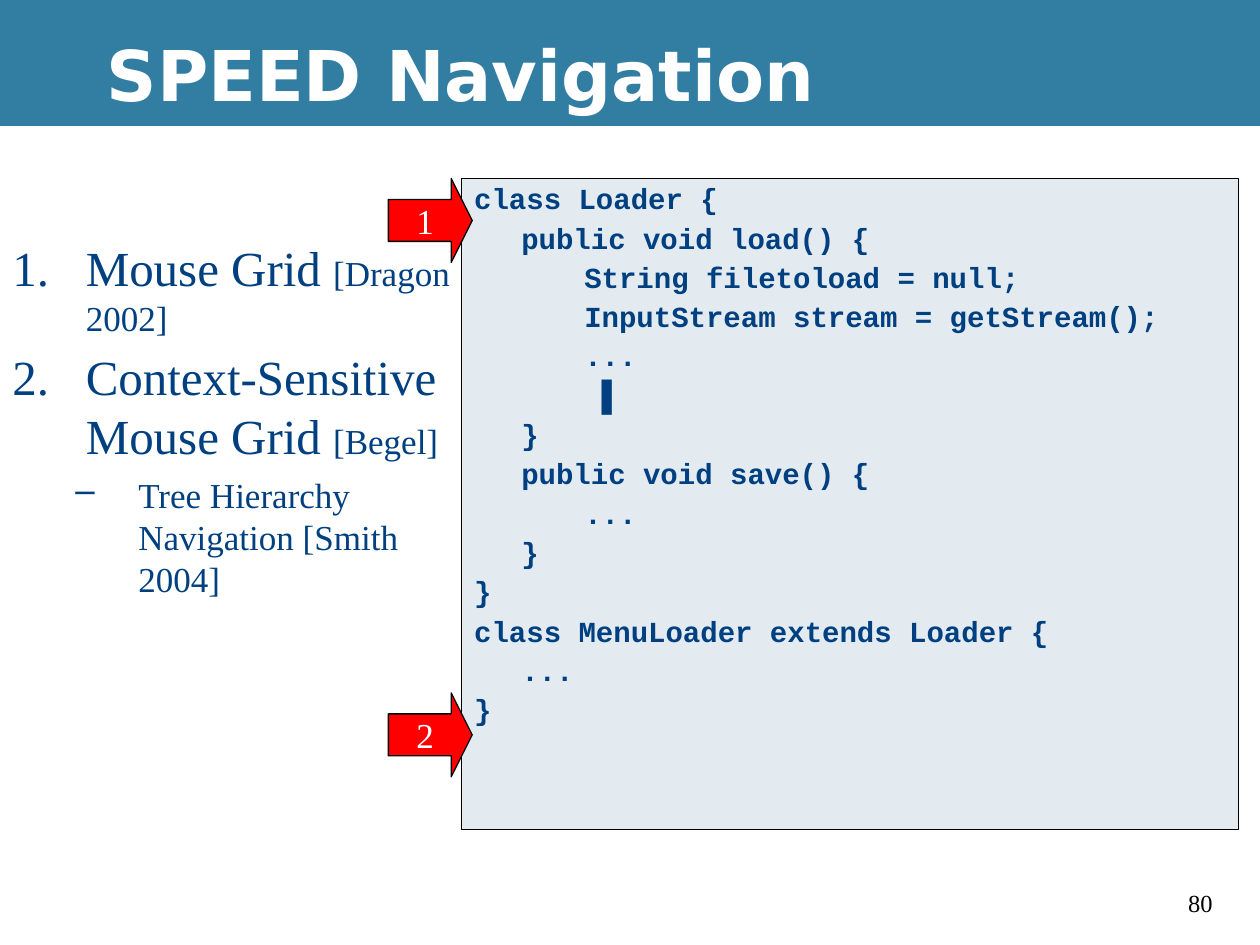
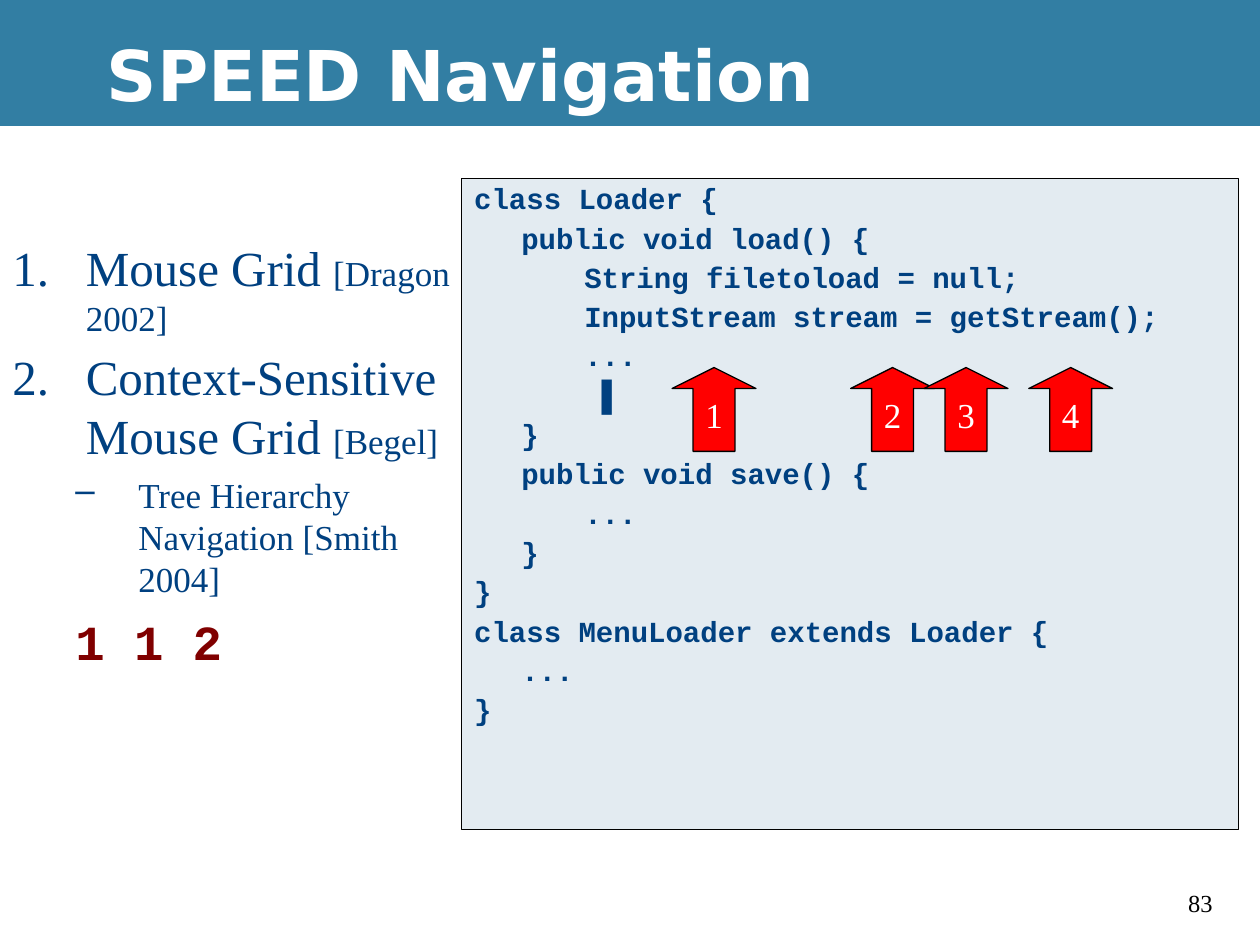
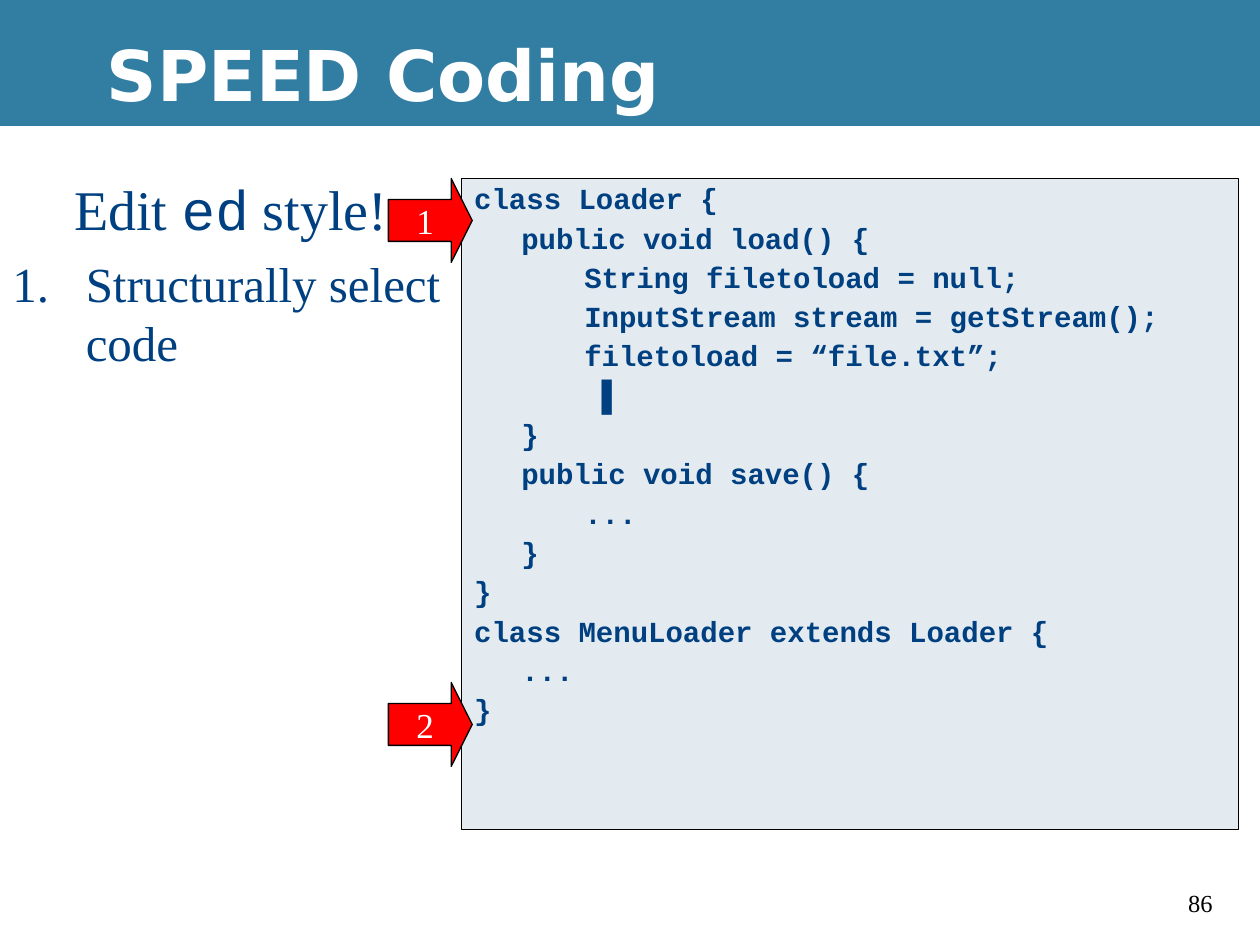
"""Builds three slides on navigating and editing code by voice."""
import dataclasses

import lxml.etree
import pptx
import pptx.dml.color
import pptx.enum.shapes
import pptx.enum.text
import pptx.oxml.ns
import pptx.util

Cm, Pt = pptx.util.Cm, pptx.util.Pt
Rgb = pptx.dml.color.RGBColor.from_string
Kind = pptx.enum.shapes.MSO_SHAPE
Align = pptx.enum.text.PP_ALIGN
Anchor = pptx.enum.text.MSO_ANCHOR
qn = pptx.oxml.ns.qn


@dataclasses.dataclass(frozen=True)
class Theme:
    band: str = "327EA3"
    panel: str = "E3EBF1"
    ink: str = "004080"
    spoken: str = "800000"
    arrow: str = "FF0000"
    white: str = "FFFFFF"
    black: str = "000000"
    head: str = "DejaVu Sans"
    serif: str = "Times New Roman"
    mono: str = "Courier New"
    sans: str = "Arial"
    title: float = 40
    lead: float = 32
    item: float = 28
    note: float = 20
    code: float = 16.6
    page: float = 14


look = Theme()


def write(frame, *runs, face=look.serif, size=look.item, ink=look.ink, bold=False,
          align=Align.LEFT, left=0, hang=0, level=0, before=0, line=1, mark=None, tabs=()):
    """Adds a paragraph; a run is text or a pair of text and its own format."""
    para = frame.paragraphs[0] if not frame.text else frame.add_paragraph()
    para.alignment, para.level, para.line_spacing = align, level, line
    para.space_before = Pt(before)
    props = para._p.get_or_add_pPr()
    if left:
        props.set("marL", str(Cm(left)))
        props.set("indent", str(-Cm(hang)))
    if mark:
        tint = lxml.etree.SubElement(props, qn("a:buClr"))
        lxml.etree.SubElement(tint, qn("a:srgbClr"), val=ink)
        if mark == "1.":
            lxml.etree.SubElement(props, qn("a:buAutoNum"), type="arabicPeriod")
        else:
            lxml.etree.SubElement(props, qn("a:buChar"), char=mark)
    if tabs:
        stops = lxml.etree.SubElement(props, qn("a:tabLst"))
        for stop in tabs:
            lxml.etree.SubElement(stops, qn("a:tab"), pos=str(Cm(stop)), algn="l")
    for run in runs:
        words, own = (run, {}) if isinstance(run, str) else run
        part = para.add_run()
        part.text = words
        part.font.name = own.get("face", face)
        part.font.size = Pt(own.get("size", size))
        part.font.bold = bold
        part.font.color.rgb = Rgb(ink)


def block(slide, kind, place, fill, edge=None):
    """Adds a filled shape at left, top, width and height in centimetres."""
    shape = slide.shapes.add_shape(kind, *map(Cm, place))
    shape.shadow.inherit = False
    shape.fill.solid()
    shape.fill.fore_color.rgb = Rgb(fill)
    if edge:
        shape.line.color.rgb = Rgb(edge)
        shape.line.width = Pt(0.75)
    else:
        shape.line.fill.background()
    return shape


small = {"size": look.note}
first = {"left": 1.48, "hang": 1.48, "mark": "1."}
second = {"left": 2.54, "hang": 1.27, "level": 1}
grid = [
    (("Mouse Grid ", ("[Dragon 2002]", small)), first),
    (("Context-Sensitive Mouse Grid ", ("[Begel]", small)), first | {"before": 5}),
    (("Tree Hierarchy Navigation [Smith 2004]",), second | small | {"before": 5, "mark": "–"}),
]
said = (("1 1 2",), second | {"before": 7, "face": look.mono, "ink": look.spoken, "bold": True})
edit = [
    (("Edit ", ("ed", {"face": look.mono}), " style!"), {"size": look.lead, "align": Align.CENTER}),
    (("Structurally select code",), first | {"before": 7}),
]

wide = (0, 4.66, 9.74, 12.28)
brief = (0, 3.39, 9.31, 5.29)
side, beside, under = 1.69, 7.83, 7.41
pages = [
    ("SPEED Navigation", "80", wide, grid, "...", Kind.RIGHT_ARROW,
     [(beside, 3.6), (beside, 13.97)]),
    ("SPEED Navigation", "83", wide, grid + [said], "...", Kind.UP_ARROW,
     [(x, under) for x in (13.55, 17.15, 18.63, 20.74)]),
    ("SPEED Coding", "86", brief, edit, "filetoload = “file.txt”;", Kind.RIGHT_ARROW,
     [(beside, 3.6), (beside, 13.76)]),
]

deck = pptx.Presentation()
deck.slide_width, deck.slide_height = Cm(25.4), Cm(19.05)
layout = deck.slide_layouts[5]
layout.background.fill.solid()
layout.background.fill.fore_color.rgb = Rgb(look.white)

for name, number, place, points, change, kind, spots in pages:
    slide = deck.slides.add_slide(layout)
    band = block(slide, Kind.RECTANGLE, (0, 0, 25.4, 2.54), look.band)
    slide.shapes.element.insert(2, band.element)

    title = slide.shapes.title
    title.left, title.top, title.width, title.height = map(Cm, (1.9, 0.21, 23.5, 2.54))
    title.text_frame.auto_size = pptx.enum.text.MSO_AUTO_SIZE.NONE
    title.text_frame.vertical_anchor = Anchor.MIDDLE
    write(title.text_frame, name, face=look.head, size=look.title, ink=look.white, bold=True)

    body = slide.shapes.add_textbox(*map(Cm, place)).text_frame
    body.word_wrap = True
    for runs, form in points:
        write(body, *runs, **form)

    panel = block(slide, Kind.RECTANGLE, (9.31, 3.6, 15.66, 13.12), look.panel, look.black)
    panel.text_frame.vertical_anchor = Anchor.TOP
    panel.text_frame.word_wrap = True
    code = [
        (0, "class Loader {"),
        (1, "public void load() {"),
        (2, "String filetoload = null;"),
        (2, "InputStream stream = getStream();"),
        (2, change),
        (2, " ", ("▌", {"face": look.sans})),
        (1, "}"),
        (1, "public void save() {"),
        (2, "..."),
        (1, "}"),
        (0, "}"),
        (0, "class MenuLoader extends Loader {"),
        (1, "..."),
        (0, "}"),
    ]
    for row, (depth, words, *rest) in enumerate(code):
        write(panel.text_frame, "\t" * depth + words, *rest, face=look.mono, size=look.code,
              bold=True, left=0.95, hang=0.95, line=0.9, before=4.5 if row else 0,
              tabs=(0, 2.54))

    for count, (x, y) in enumerate(spots, 1):
        arrow = block(slide, kind, (x, y, side, side), look.arrow, look.black)
        arrow.adjustments[0], arrow.adjustments[1] = 0.5, 0.25
        arrow.text_frame.word_wrap = False
        arrow.text_frame.vertical_anchor = Anchor.MIDDLE
        write(arrow.text_frame, str(count), size=look.note, ink=look.white, align=Align.CENTER)

    foot = slide.shapes.add_textbox(Cm(23.7), Cm(17.78), Cm(1.27), Cm(0.86)).text_frame
    foot.word_wrap = True
    write(foot, number, size=look.page, ink=look.black)

deck.save("out.pptx")
